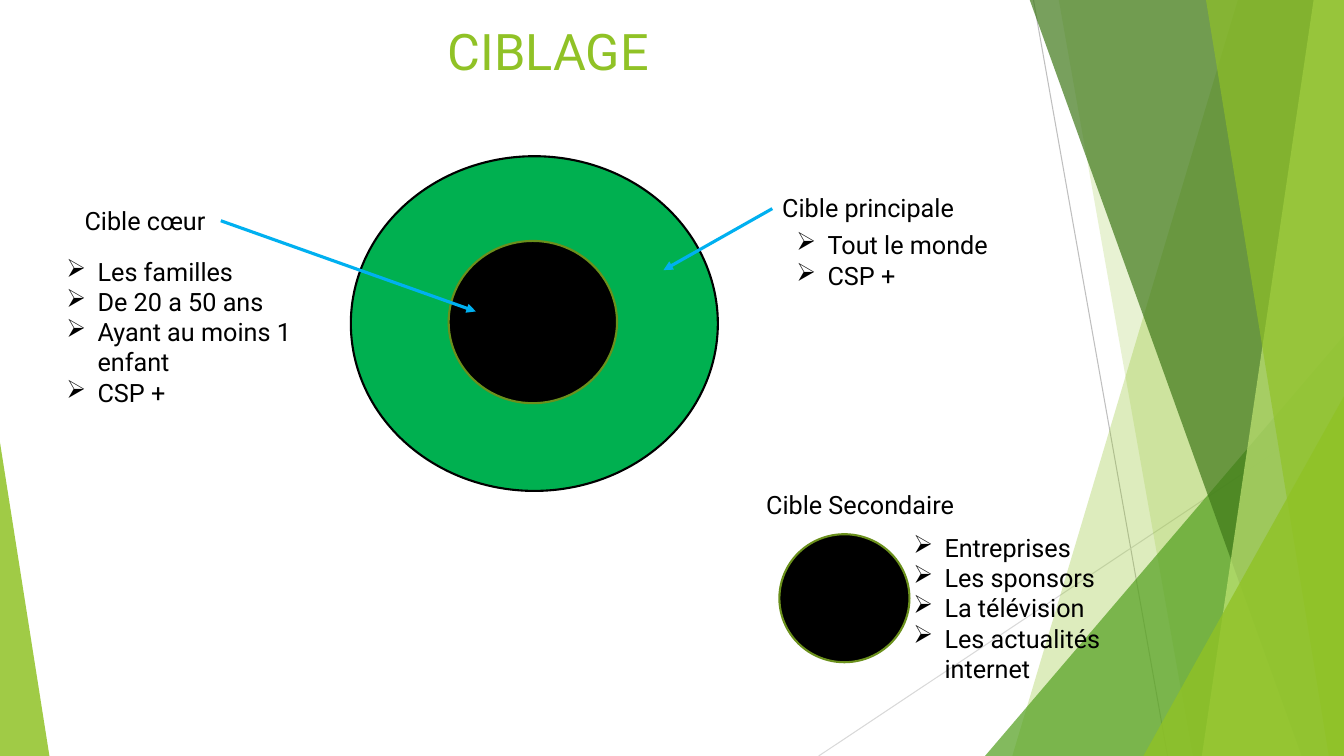
from lxml.etree import SubElement
from pptx import Presentation
from pptx.dml.color import RGBColor
from pptx.enum.shapes import MSO_CONNECTOR, MSO_SHAPE
from pptx.enum.text import MSO_ANCHOR, PP_ALIGN
from pptx.oxml.ns import qn
from pptx.util import Inches, Pt

LIME = "90C226"
BLACK = "000000"
OLIVE = "6B901C"
SKY = "00B0F0"
INDENT = Inches(0.31)
TOP, BOTTOM, RIGHT = -0.01, 7.5, 13.33


def colour(hex_code):
    """Turn a hex string into a colour."""
    return RGBColor.from_string(hex_code)


def apply_format(target, values):
    """Set each named attribute of the target."""
    for name, value in values.items():
        setattr(target, name, value)


def paint(shape, fill, opacity=100, outline=None):
    """Give a shape its fill, opacity and outline, without shadow."""
    shape.shadow.inherit = False
    shape.fill.solid()
    shape.fill.fore_color.rgb = colour(fill)
    if opacity < 100:
        fill_colour = shape.element.spPr.find(qn("a:solidFill")).find(qn("a:srgbClr"))
        SubElement(fill_colour, qn("a:alpha"), val=str(opacity * 1000))
    if outline:
        shape.line.color.rgb = colour(outline)
        shape.line.width = Pt(1.5)
    else:
        shape.line.fill.background()


def add_band(slide, top_left, top_right, bottom_left, fill, opacity):
    """Draw a slanted band that reaches the right edge of the slide."""
    corners = [(top_left, TOP), (top_right, TOP), (RIGHT, BOTTOM), (bottom_left, BOTTOM)]
    points = [(Inches(x), Inches(y)) for x, y in corners]
    outline = slide.shapes.build_freeform(*points[0])
    outline.add_line_segments(points[1:], close=True)
    paint(outline.convert_to_shape(), fill, opacity)


def add_wedge(slide, left, top, width, apex, fill, opacity):
    """Draw a triangle that stands on the bottom edge of the slide."""
    wedge = slide.shapes.add_shape(
        MSO_SHAPE.ISOSCELES_TRIANGLE,
        Inches(left), Inches(top), Inches(width), Inches(BOTTOM - top))
    wedge.adjustments[0] = apex
    paint(wedge, fill, opacity)


def add_target(slide, left, top, width, height, fill, outline):
    """Draw one target circle."""
    target = slide.shapes.add_shape(
        MSO_SHAPE.OVAL, Inches(left), Inches(top), Inches(width), Inches(height))
    paint(target, fill, outline=outline)


def add_line(slide, start, end, stroke, width, arrow=False):
    """Draw a straight line, with an arrowhead at its end if asked."""
    line = slide.shapes.add_connector(
        MSO_CONNECTOR.STRAIGHT, *[Inches(value) for value in start + end])
    line.line.color.rgb = colour(stroke)
    line.line.width = Pt(width)
    properties = line.element.spPr
    if arrow:
        SubElement(properties.find(qn("a:ln")), qn("a:tailEnd"), type="triangle")
    SubElement(properties, qn("a:effectLst"))


def add_text(slide, left, top, width, height, lines, bullet=None,
             size=18, ink=BLACK, align=PP_ALIGN.LEFT, anchor=MSO_ANCHOR.TOP):
    """Write lines of text, as a bulleted list if a bullet is given."""
    box = slide.shapes.add_textbox(
        Inches(left), Inches(top), Inches(width), Inches(height))
    frame = box.text_frame
    apply_format(frame, {"word_wrap": True, "vertical_anchor": anchor})
    frame.text = "\n".join(lines)
    for paragraph in frame.paragraphs:
        paragraph.alignment = align
        if bullet:
            properties = paragraph._p.get_or_add_pPr()
            properties.set("marL", str(INDENT))
            properties.set("indent", str(-INDENT))
            SubElement(properties, qn("a:buChar"), char=bullet)
        font = paragraph.runs[0].font
        apply_format(font, {"name": "Roboto", "size": Pt(size)})
        font.color.rgb = colour(ink)


def add_backdrop(slide):
    """Draw the green facets at both sides of the slide."""
    add_line(slide, (10.25, 0), (11.58, BOTTOM), "BFBFBF", 0.75)
    add_line(slide, (RIGHT, 4.03), (8.12, BOTTOM), "D9D9D9", 0.75)
    add_band(slide, 12.28, RIGHT, 10.04, LIME, 30)
    add_band(slide, 10.5, RIGHT, 11.83, LIME, 20)
    add_wedge(slide, 9.77, 3.33, 3.56, 1, "54A021", 72)
    add_band(slide, 10.21, RIGHT, 12.91, "3F7819", 70)
    add_band(slide, 13.03, RIGHT, 11.92, "C0E474", 70)
    add_band(slide, 11.96, RIGHT, 13.18, LIME, 65)
    add_wedge(slide, 11.34, 3.93, 1.99, 1, LIME, 80)
    add_wedge(slide, 0, 4.39, 0.49, 0, LIME, 85)


def main():
    """Build the targeting slide and save it."""
    deck = Presentation()
    apply_format(deck, {"slide_width": Inches(RIGHT), "slide_height": Inches(BOTTOM)})
    slide = deck.slides.add_slide(deck.slide_layouts[6])
    add_backdrop(slide)
    add_text(slide, 0.74, 0.14, 9.4, 0.72, ["CIBLAGE"], size=36, ink=LIME,
             align=PP_ALIGN.CENTER, anchor=MSO_ANCHOR.MIDDLE)

    add_target(slide, 3.48, 1.55, 3.64, 3.32, "00B050", BLACK)
    add_target(slide, 4.45, 2.39, 1.67, 1.61, BLACK, OLIVE)
    add_target(slide, 7.73, 5.3, 1.29, 1.27, BLACK, OLIVE)

    add_text(slide, 0.74, 1.99, 1.45, 0.4, ["Cible cœur"])
    add_text(slide, 0.56, 2.49, 3.02, 1.31,
             ["Les familles", "De 20 a 50 ans", "Ayant au moins 1 enfant", "CSP +"], "➢")
    add_line(slide, (2.19, 2.19), (4.72, 3.09), SKY, 2.25, arrow=True)

    add_line(slide, (7.66, 2.07), (6.58, 2.68), SKY, 2.25, arrow=True)
    add_text(slide, 7.8, 2.23, 2.28, 0.71, ["Tout le monde", "CSP +"], "➢")
    add_text(slide, 7.66, 1.86, 2.02, 0.42, ["Cible principale"])

    add_text(slide, 8.96, 5.23, 2.9, 1.31,
             ["Entreprises", "Les sponsors", "La télévision", "Les actualités internet"], "➢")
    add_text(slide, 7.5, 4.81, 2.18, 0.4, ["Cible Secondaire"])
    deck.save("out.pptx")


if __name__ == "__main__":
    main()
